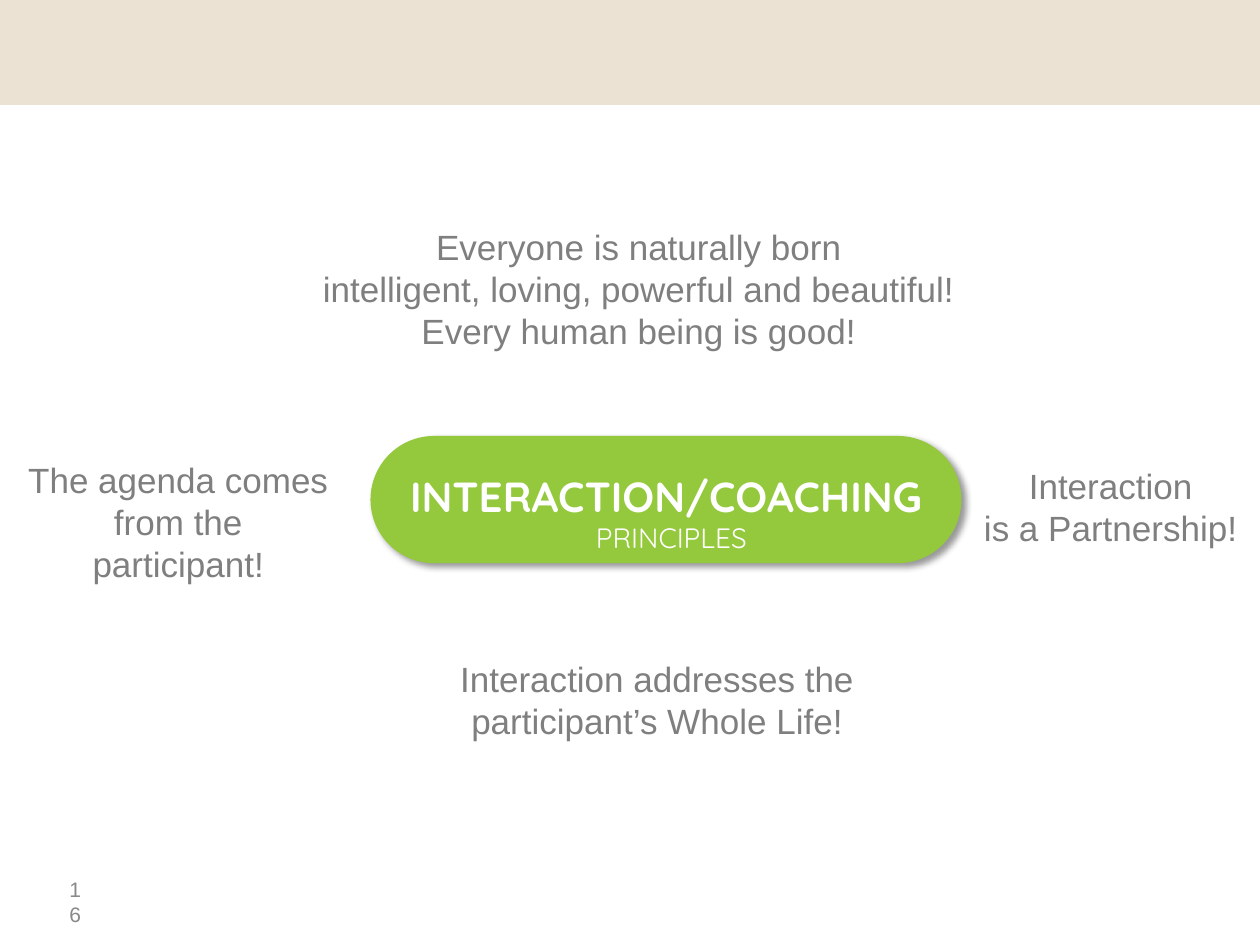
from lxml import etree
from pptx import Presentation
from pptx.dml.color import RGBColor
from pptx.enum import shapes, text
from pptx.oxml import ns
from pptx.util import Pt

SAND = RGBColor(0xEC, 0xE2, 0xD4)
GREEN = RGBColor(0x95, 0xC9, 0x3D)
GRAY = RGBColor(0x7F, 0x7F, 0x7F)
NUMBER_GRAY = RGBColor(0x88, 0x88, 0x88)
WHITE = RGBColor(0xFF, 0xFF, 0xFF)
BLACK = RGBColor(0, 0, 0)

BAND = (0, 0, 720, 60)
PILL = (211.7, 249.1, 337.7, 72.7)
TITLE = ("INTERACTION/COACHING", (211.7, 265, 337.7, 33.1))
SUBTITLE = ("PRINCIPLES", (214.8, 293.8, 337.7, 24.5))
PAGE_NUMBER = ("16", (36, 504.7, 15.1, 20.9))
PRINCIPLES = [
    (["Everyone is naturally born",
      "intelligent, loving, powerful and beautiful!",
      "Every human being is good!"], (108.7, 125.3, 512.6, 94.3)),
    (["Interaction addresses the participant’s Whole Life!"], (201.6, 372.2, 347.8, 65.5)),
    (["The agenda comes\vfrom the\vparticipant!"], (3.6, 258.5, 196.6, 94.3)),
    (["Interaction", "is a Partnership!"], (536.4, 262.1, 196.6, 65.5)),
]


def add_block(page, kind, place, color):
    block = page.shapes.add_shape(kind, *map(Pt, place))
    block.shadow.inherit = False
    block.fill.solid()
    block.fill.fore_color.rgb = color
    block.line.fill.background()
    return block


def add_shadow(shape, color, alpha, blur, distance, angle):
    effects = shape.element.spPr.find(ns.qn("a:effectLst"))
    shadow = etree.SubElement(
        effects, ns.qn("a:outerShdw"), blurRad=str(Pt(blur)), dist=str(Pt(distance)),
        dir=str(angle * 60000), algn="tl", rotWithShape="0")
    tint = etree.SubElement(shadow, ns.qn("a:srgbClr"), val=str(color))
    etree.SubElement(tint, ns.qn("a:alpha"), val=str(alpha * 1000))


def write(box, lines, size, color, font="Arial", bold=False,
          align=text.PP_ALIGN.CENTER, anchor=text.MSO_ANCHOR.TOP):
    frame = box.text_frame
    frame.word_wrap = True
    frame.auto_size = text.MSO_AUTO_SIZE.NONE
    frame.vertical_anchor = anchor
    frame.text = "\n".join(lines)
    for para in frame.paragraphs:
        para.alignment = align
        para.font.name = font
        para.font.size = Pt(size)
        para.font.bold = bold
        para.font.color.rgb = color


def add_text(page, lines, place, *style, **options):
    box = page.shapes.add_textbox(*map(Pt, place))
    write(box, lines, *style, **options)
    return box


def main():
    deck = Presentation()
    deck.slide_width, deck.slide_height = Pt(720), Pt(540)
    page = deck.slides.add_slide(deck.slide_layouts.get_by_name("Title Only"))

    add_block(page, shapes.MSO_SHAPE.RECTANGLE, BAND, SAND)
    label, place = PAGE_NUMBER
    number = add_text(page, [label], place, 12, NUMBER_GRAY,
                      align=text.PP_ALIGN.LEFT, anchor=text.MSO_ANCHOR.MIDDLE)
    number.text_frame.margin_left = number.text_frame.margin_right = Pt(3.6)

    for lines, place in PRINCIPLES:
        add_text(page, lines, place, 20, GRAY)

    pill = add_block(page, shapes.MSO_SHAPE.ROUNDED_RECTANGLE, PILL, GREEN)
    pill.adjustments[0] = 0.5
    add_shadow(pill, BLACK, alpha=40, blur=4, distance=3, angle=45)

    label, place = TITLE
    title = page.shapes.title
    title.left, title.top, title.width, title.height = map(Pt, place)
    write(title, [label], 24, WHITE, font="Quicksand", bold=True)
    page.shapes.element.append(title.element)

    label, place = SUBTITLE
    add_text(page, [label], place, 16, WHITE, font="Quicksand")
    deck.save("out.pptx")


if __name__ == "__main__":
    main()
